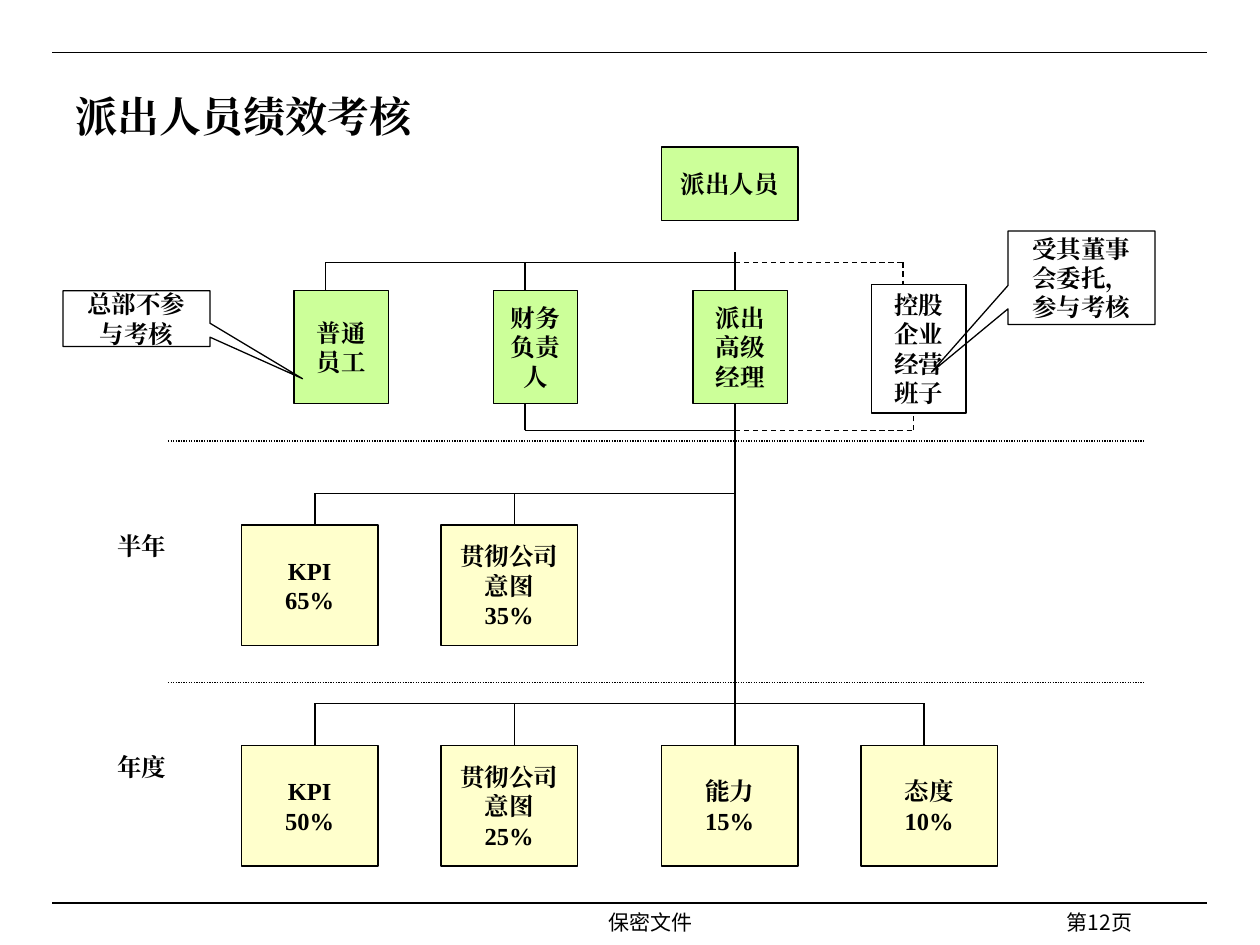
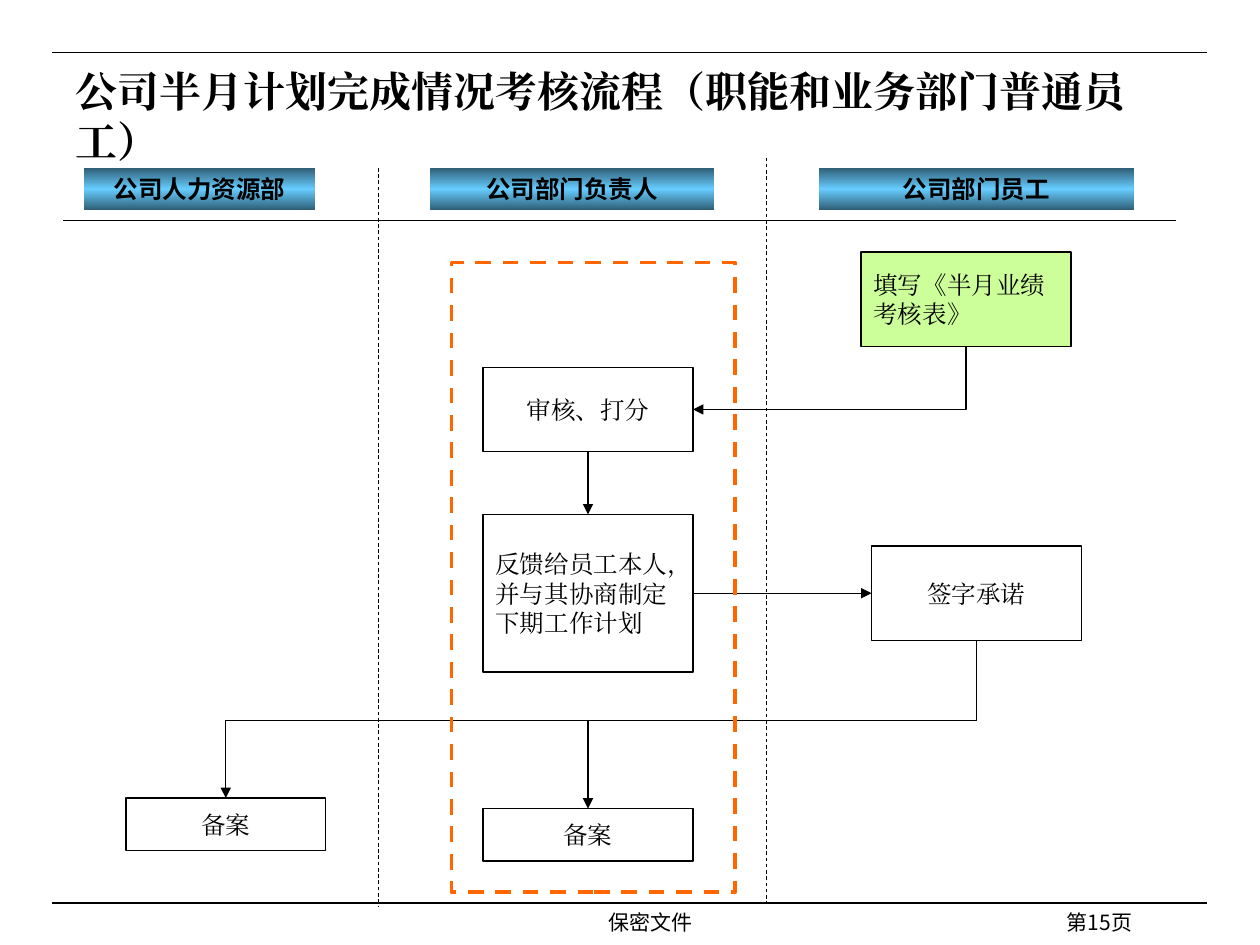
from copy import deepcopy
from dataclasses import dataclass

from lxml.etree import SubElement
from pptx import Presentation
from pptx.dml.color import RGBColor
from pptx.enum.dml import MSO_LINE
from pptx.enum.shapes import MSO_CONNECTOR, MSO_SHAPE
from pptx.enum.text import MSO_ANCHOR, MSO_AUTO_SIZE, PP_ALIGN
from pptx.oxml.ns import qn
from pptx.util import Emu, Inches, Pt

COLUMNS, ROWS = 120, 90
TOP, LEFT, BOTTOM, RIGHT = range(4)


@dataclass(frozen=True)
class Theme:
    ink: str = "000000"
    green: str = "CCFF99"
    cream: str = "FFFFCC"
    orange: str = "FF6600"
    band: tuple = ("2F5E75", "66CCFF", "2F5E75")
    serif: str = "Times New Roman"
    sans: str = "Noto Sans CJK SC"
    title: float = 24
    body: float = 14
    footer: float = 12
    rule: float = 0.75
    hairline: float = 0.5
    heavy: float = 2.25


class Painter:
    def __init__(self, deck, theme):
        self.deck, self.theme = deck, theme
        self.page = None

    def x(self, column):
        return Emu(round(self.deck.slide_width * column / COLUMNS))

    def y(self, row):
        return Emu(round(self.deck.slide_height * row / ROWS))

    def place(self, area):
        column, row, width, height = area
        return self.x(column), self.y(row), self.x(width), self.y(height)

    def set_text(self, shape, text, size, font, bold=False,
                 align=PP_ALIGN.CENTER, anchor=MSO_ANCHOR.MIDDLE):
        frame = shape.text_frame
        frame.text = text
        frame.word_wrap = True
        frame.auto_size = MSO_AUTO_SIZE.NONE
        frame.vertical_anchor = anchor
        for para in frame.paragraphs:
            para.alignment = align
            for span in para.runs:
                span.font.size = Pt(size)
                span.font.bold = bold
                span.font.color.rgb = RGBColor.from_string(self.theme.ink)
                span.font.name = font
                latin = span.font._element.find(qn("a:latin"))
                east_asian = deepcopy(latin)
                east_asian.tag = qn("a:ea")
                latin.addnext(east_asian)

    def start(self, title, number):
        self.page = self.deck.slides.add_slide(self.deck.slide_layouts[5])
        heading = self.page.shapes.title
        heading.left, heading.top, heading.width, heading.height = self.place((6, 7, 107, 8))
        self.set_text(heading, title, self.theme.title, self.theme.serif, True, PP_ALIGN.LEFT)
        for row in (5, 86):
            self.line((5, row), (115, row))
        self.label((35, 86, 54, 3), "保密文件", self.theme.footer, self.theme.sans)
        self.label((84, 86, 25, 2), f"第{number}页", self.theme.footer, self.theme.sans,
                   align=PP_ALIGN.RIGHT)

    def label(self, area, text, size, font, bold=False, align=PP_ALIGN.CENTER):
        box = self.page.shapes.add_textbox(*self.place(area))
        self.set_text(box, text, size, font, bold, align, MSO_ANCHOR.TOP)

    def shape(self, area, kind=MSO_SHAPE.RECTANGLE, fill=None):
        shape = self.page.shapes.add_shape(kind, *self.place(area))
        shape.shadow.inherit = False
        shape.line.color.rgb = RGBColor.from_string(self.theme.ink)
        shape.line.width = Pt(self.theme.rule)
        if fill:
            shape.fill.solid()
            shape.fill.fore_color.rgb = RGBColor.from_string(fill)
        else:
            shape.fill.background()
        return shape

    def box(self, area, text, fill=None, bold=False, align=PP_ALIGN.CENTER):
        box = self.shape(area, fill=fill)
        self.set_text(box, text, self.theme.body, self.theme.serif, bold, align)
        return box

    def callout(self, area, text, pointer):
        callout = self.shape(area, MSO_SHAPE.RECTANGULAR_CALLOUT)
        callout.adjustments[0], callout.adjustments[1] = pointer
        self.set_text(callout, text, self.theme.body, self.theme.serif, True)

    def band(self, area, text):
        band = self.shape(area)
        band.line.fill.background()
        band.fill.gradient()
        band.fill.gradient_angle = 90
        stops = band._element.spPr.find(".//" + qn("a:gsLst"))
        stops.insert(1, deepcopy(stops[0]))
        for index, (stop, color) in enumerate(zip(band.fill.gradient_stops, self.theme.band)):
            stop.position = index / 2
            stop.color.rgb = RGBColor.from_string(color)
        self.set_text(band, text, self.theme.body, self.theme.sans, True)

    def frame(self, area):
        frame = self.shape(area)
        frame.line.color.rgb = RGBColor.from_string(self.theme.orange)
        frame.line.width = Pt(self.theme.heavy)
        frame.line.dash_style = MSO_LINE.DASH

    def connector(self, kind, start, end, dash=None, weight=None):
        connector = self.page.shapes.add_connector(
            kind, self.x(start[0]), self.y(start[1]), self.x(end[0]), self.y(end[1]))
        connector.line.color.rgb = RGBColor.from_string(self.theme.ink)
        connector.line.width = Pt(weight or self.theme.rule)
        if dash:
            connector.line.dash_style = dash
        SubElement(connector._element.spPr, qn("a:effectLst"))
        return connector

    def line(self, start, end, dash=None, weight=None):
        self.connector(MSO_CONNECTOR.STRAIGHT, start, end, dash, weight)

    def bus(self, row, start, end, drops, drop_row, dash=None):
        self.line((start, row), (end, row), dash)
        for column in drops:
            self.line((column, row), (column, drop_row), dash)

    def join(self, source, source_side, target, target_side, kind=MSO_CONNECTOR.STRAIGHT):
        arrow = self.connector(kind, (0, 0), (1, 1))
        arrow.begin_connect(source, source_side)
        arrow.end_connect(target, target_side)
        outline = arrow._element.spPr.find(qn("a:ln"))
        SubElement(outline, qn("a:tailEnd"), type="triangle")
        return arrow

    def elbow_down_left(self, source, target, target_side, turn=None):
        arrow = self.join(source, BOTTOM, target, target_side, MSO_CONNECTOR.ELBOW)
        start_x, start_y, end_x, end_y = arrow.begin_x, arrow.begin_y, arrow.end_x, arrow.end_y
        across, down = start_x - end_x, end_y - start_y
        properties = arrow._element.spPr
        transform = properties.find(qn("a:xfrm"))
        for flip in ("flipH", "flipV"):
            transform.attrib.pop(flip, None)
        transform.set("rot", "5400000")
        arrow.left = Emu((start_x + end_x - down) // 2)
        arrow.top = Emu((start_y + end_y - across) // 2)
        arrow.width, arrow.height = Emu(down), Emu(across)
        geometry = properties.find(qn("a:prstGeom"))
        if turn is None:
            geometry.set("prst", "bentConnector2")
        else:
            share = round((self.y(turn) - start_y) / down * 100000)
            SubElement(geometry.find(qn("a:avLst")), qn("a:gd"), name="adj1", fmla=f"val {share}")


def draw_assessment_tree(painter):
    theme = painter.theme
    painter.start("派出人员绩效考核", 12)
    trunk = 70
    painter.line((trunk, 71), (trunk, 24))
    painter.bus(25, 31, trunk, (31, 50), 27.7)
    painter.bus(25, trunk, 86, (86,), 27.1, MSO_LINE.DASH)
    painter.bus(41, 50, trunk, (50,), 38.4)
    painter.bus(41, trunk, 87, (87,), 39.4, MSO_LINE.DASH)
    painter.bus(47, 30, trunk, (30, 49), 50)
    painter.bus(67, 30, 88, (30, 49, 88), 71)
    for row in (42, 65):
        painter.line((16, row), (109, row), MSO_LINE.ROUND_DOT)

    painter.box((63, 14, 13, 7), "派出人员", theme.green, True)
    for column, width, role in ((28, 9, "普通员工"), (47, 8, "财务负责人"), (66, 9, "派出高级经理")):
        painter.box((column, 27.7, width, 10.7), role, theme.green, True)
    painter.box((83, 27.1, 9, 12.25), "控股企业经营班子", bold=True)

    periods = (
        (50, "半年", ("KPI\n65%", "贯彻公司意图\n35%")),
        (71, "年度", ("KPI\n50%", "贯彻公司意图\n25%", "能力\n15%", "态度\n10%")),
    )
    for row, period, measures in periods:
        painter.label((8, row, 11, 4.1), period, theme.body, theme.serif, True)
        for column, measure in zip((23, 42, 63, 82), measures):
            painter.box((column, row, 13, 11.5), measure, theme.cream, True)

    painter.callout((6, 27.7, 14, 5.3), "总部不参与考核", (1.13, 1.08))
    painter.callout((96, 22, 14, 8.9), "受其董事会委托，参与考核", (-1.02, 1.01))


def draw_review_flow(painter):
    theme = painter.theme
    painter.start("公司半月计划完成情况考核流程（职能和业务部门普通员工）", 15)
    painter.line((6, 21), (112, 21))
    for column, first, last in ((36, 16, 86.25), (73, 15, 86)):
        painter.line((column, first), (column, last), MSO_LINE.DASH, theme.hairline)
    for column, width, lane in ((8, 22, "公司人力资源部"), (41, 27, "公司部门负责人"),
                                (78, 30, "公司部门员工")):
        painter.band((column, 16, width, 4), lane)

    form = painter.box((82, 24, 20, 9), "填写《半月业绩考核表》", theme.green, align=PP_ALIGN.LEFT)
    review = painter.box((46, 35, 20, 8), "审核、打分")
    feedback = painter.box((46, 49, 20, 15), "反馈给员工本人，并与其协商制定下期工作计划",
                           align=PP_ALIGN.LEFT)
    promise = painter.box((83, 52, 20, 9), "签字承诺")
    staff_file = painter.box((12, 76, 19, 5), "备案")
    manager_file = painter.box((46, 77, 20, 5), "备案")

    painter.elbow_down_left(form, review, RIGHT)
    painter.join(review, BOTTOM, feedback, TOP)
    painter.join(feedback, RIGHT, promise, LEFT)
    for record in (staff_file, manager_file):
        painter.elbow_down_left(promise, record, TOP, turn=68.6)
    painter.frame((43, 25, 27, 60))


def main():
    deck = Presentation()
    deck.slide_width, deck.slide_height = Inches(10), Inches(7.5)
    painter = Painter(deck, Theme())
    draw_assessment_tree(painter)
    draw_review_flow(painter)
    deck.save("out.pptx")


if __name__ == "__main__":
    main()
